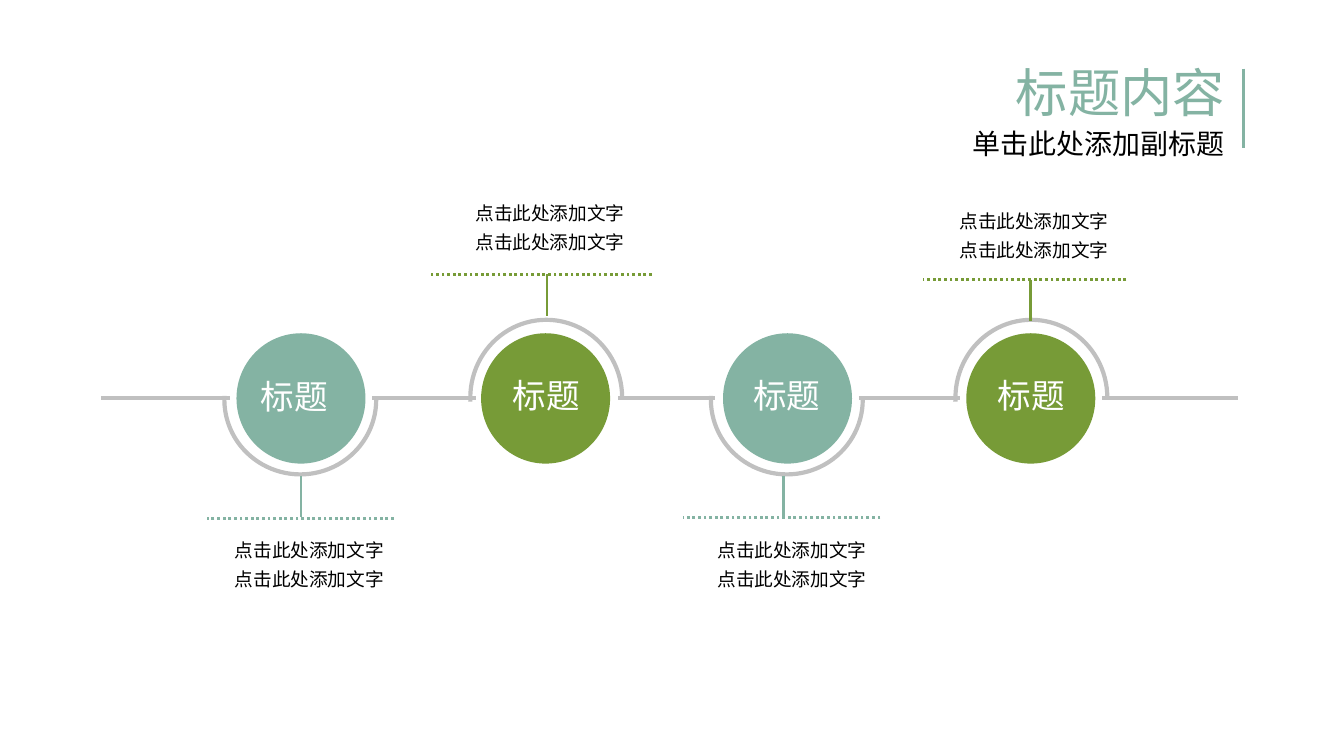
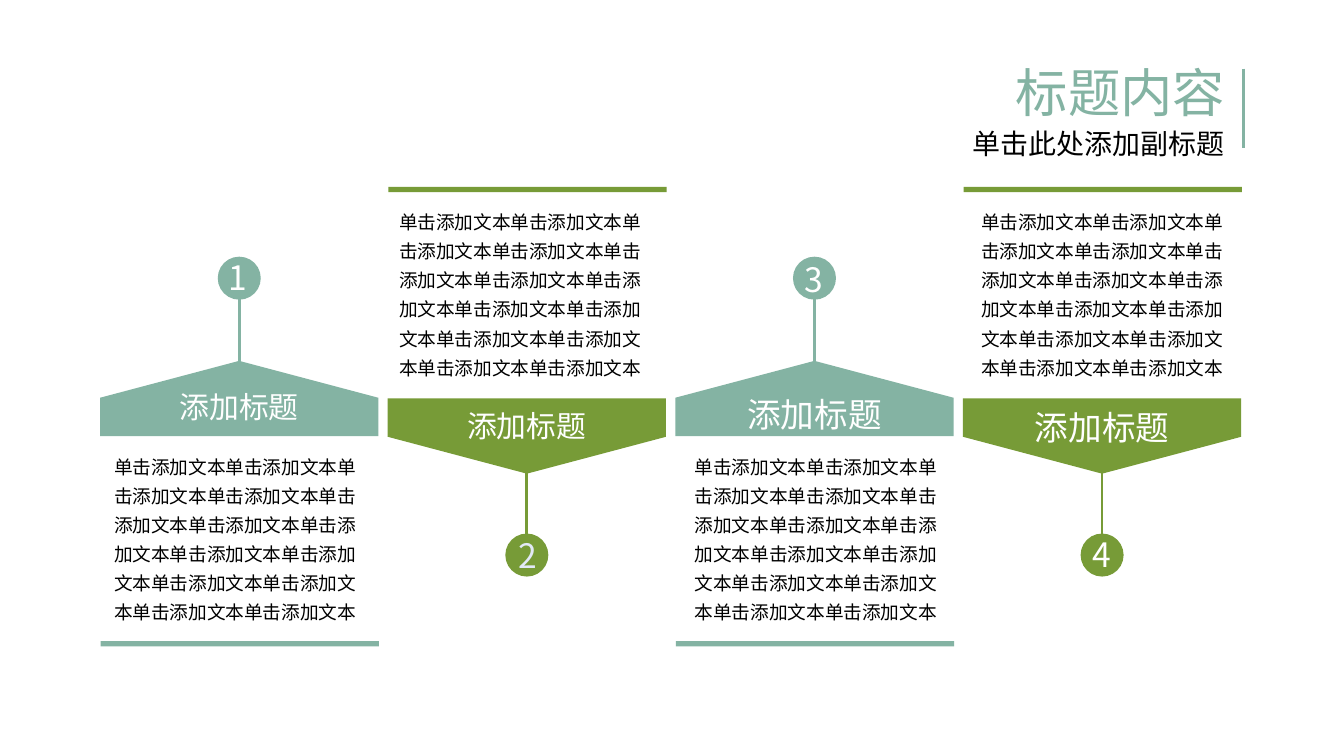
from dataclasses import dataclass

from lxml import etree
from pptx import Presentation
from pptx import util as u
from pptx.dml.color import RGBColor
from pptx.enum import dml, shapes, text
from pptx.oxml.ns import qn

PX = 9144  # 100 px to the inch
PAGE_WIDTH = 1000

SAGE = RGBColor(0x84, 0xB3, 0xA3)
OLIVE = RGBColor(0x77, 0x9B, 0x37)
GREY = RGBColor(0xC0, 0xC0, 0xC0)
PALE = RGBColor(0xE2, 0xE9, 0xF6)
WHITE = RGBColor(0xFF, 0xFF, 0xFF)
BLACK = RGBColor(0x00, 0x00, 0x00)

FONT = "Noto Sans CJK SC"
LINE_HEIGHT = 1.2  # of the text size
LEFT, CENTER, RIGHT = text.PP_ALIGN.LEFT, text.PP_ALIGN.CENTER, text.PP_ALIGN.RIGHT


@dataclass
class Node:
    """A stop on the timeline with its callout."""
    left: int
    up: bool
    label: tuple
    stem: tuple
    dots: tuple
    note: tuple


@dataclass
class Step:
    """A numbered column; up means its text stands above the banner."""
    up: bool
    digit_at: tuple
    digit_color: RGBColor
    label_top: int
    label_size: int
    body_left: int


NODES = [
    Node(176, False, (178, 275, 82), (224, 354, 385), (154, 293, 386), (165, 391)),
    Node(358, True, (358, 274, 97), (407, 204, 235), (321, 485, 204), (344, 140)),
    Node(538, False, (537, 274, 97), (583, 354, 385), (508, 655, 385), (524, 391)),
    Node(719, True, (719, 274, 97), (767, 208, 239), (687, 838, 208), (704, 146)),
]
RAIL = [(75, 171), (277, 354), (460, 532), (639, 714), (820, 921)]
STEPS = [
    Step(False, (160, 186), WHITE, 287, 16, 78),
    Step(True, (376, 393), PALE, 301, 16, 290),
    Step(False, (589, 188), WHITE, 291, 18, 510),
    Step(True, (803, 392), WHITE, 301, 18, 723),
]


def emu(*lengths):
    return [u.Emu(length * PX) for length in lengths]


def add_text(page, frame, lines, size, color, align=LEFT, spacing=1.0, wrap=True, inset=None):
    box = page.shapes.add_textbox(*emu(*frame))
    body = box.text_frame
    body.word_wrap = wrap
    if inset:
        body.margin_left, body.margin_top, body.margin_right, body.margin_bottom = emu(*inset)
    for number, line in enumerate(lines):
        para = body.add_paragraph() if number else body.paragraphs[0]
        para.alignment = align
        para.line_spacing = u.Pt(round(size * LINE_HEIGHT * spacing, 1))
        span = para.add_run()
        span.text = line
        span.font.name = FONT
        span.font.size = u.Pt(size)
        span.font.color.rgb = color
        east_asian = etree.SubElement(span.font._element, qn("a:ea"))
        east_asian.set("typeface", FONT)


def add_line(page, start, end, color, width=1.5, dotted=False):
    line = page.shapes.add_connector(shapes.MSO_CONNECTOR.STRAIGHT, *emu(*start, *end))
    line.line.color.rgb = color
    line.line.width = u.Pt(width)
    if dotted:
        line.line.dash_style = dml.MSO_LINE.ROUND_DOT
    etree.SubElement(line._element.spPr, qn("a:effectLst"))


def add_filled(page, kind, frame, color):
    shape = page.shapes.add_shape(kind, *emu(*frame))
    shape.shadow.inherit = False
    shape.fill.solid()
    shape.fill.fore_color.rgb = color
    shape.line.fill.background()
    return shape


def add_arc(page, frame, start, end):
    """Draw a grey arc clockwise between two angles in degrees."""
    arc = page.shapes.add_shape(shapes.MSO_SHAPE.ARC, *emu(*frame))
    arc.adjustments[0] = start * 0.6
    arc.adjustments[1] = end * 0.6
    arc.shadow.inherit = False
    arc.fill.background()
    arc.line.color.rgb = GREY
    arc.line.width = u.Pt(2.25)


def add_page(deck):
    """Add a blank page with the shared heading."""
    page = deck.slides.add_slide(deck.slide_layouts[6])
    add_text(page, (539, 45, 382, 50), ["标题内容"], 28, SAGE, RIGHT, 0.9)
    add_text(page, (539, 92, 382, 40), ["单击此处添加副标题"], 15, BLACK, RIGHT, 0.9)
    add_line(page, (925, 51), (925, 110), SAGE)
    return page


def add_node(page, node):
    color = OLIVE if node.up else SAGE
    if node.up:
        add_arc(page, (node.left - 8, 238, 113, 116), 177, 1)
    else:
        add_arc(page, (node.left - 9, 242, 113, 111), 359, 183)
    add_filled(page, shapes.MSO_SHAPE.OVAL, (node.left, 248, 96, 97), color)
    add_text(page, (*node.label, 40), ["标题"], 18, WHITE, CENTER)
    x, top, bottom = node.stem
    add_line(page, (x, top), (x, bottom), color)
    left, right, y = node.dots
    add_line(page, (right, y), (left, y), color, dotted=True)
    add_text(page, (*node.note, 192, 54), ["点击此处添加文字"] * 2, 10, BLACK, spacing=1.3)


def add_step(page, number, step):
    left = 75 + 214 * (number - 1)
    middle = left + 103
    if step.up:
        color, bar_top, body_top, disc_top = OLIVE, 139, 148, 397
        stem, banner_top, turn = (402, 339), 221, 90
    else:
        color, bar_top, body_top, disc_top = SAGE, 477, 330, 191
        stem, banner_top, turn = (219, 282), 193, 270

    add_line(page, (middle, stem[0]), (middle, stem[1]), color)
    add_filled(page, shapes.MSO_SHAPE.OVAL, (middle - 16, disc_top, 32, 32), color)
    add_text(page, (*step.digit_at, 35, 40), [str(number)], 18, step.digit_color, wrap=False)
    add_filled(page, shapes.MSO_SHAPE.RECTANGLE, (left, bar_top, 207, 4), color)
    banner = add_filled(page, shapes.MSO_SHAPE.PENTAGON, (left + 75, banner_top, 56, 207), color)
    banner.adjustments[0] = 0.49
    banner.rotation = turn
    add_text(page, (left + 16, step.label_top, 174, 37), ["添加标题"],
             step.label_size, WHITE, CENTER, 0.9)
    add_text(page, (step.body_left, body_top, 206, 139), ["单击添加文本" * 13],
             10, BLACK, spacing=1.3, inset=(7, 4, 7, 4))


def main():
    deck = Presentation()
    deck.slide_width = u.Emu(PAGE_WIDTH * PX)
    deck.slide_height = u.Emu(PAGE_WIDTH * PX * 9 // 16)

    timeline = add_page(deck)
    for start, end in RAIL:
        add_line(timeline, (start, 296), (end, 296), GREY, 2.25)
    for node in NODES:
        add_node(timeline, node)

    columns = add_page(deck)
    for number, step in enumerate(STEPS, 1):
        add_step(columns, number, step)

    deck.save("out.pptx")


if __name__ == "__main__":
    main()
